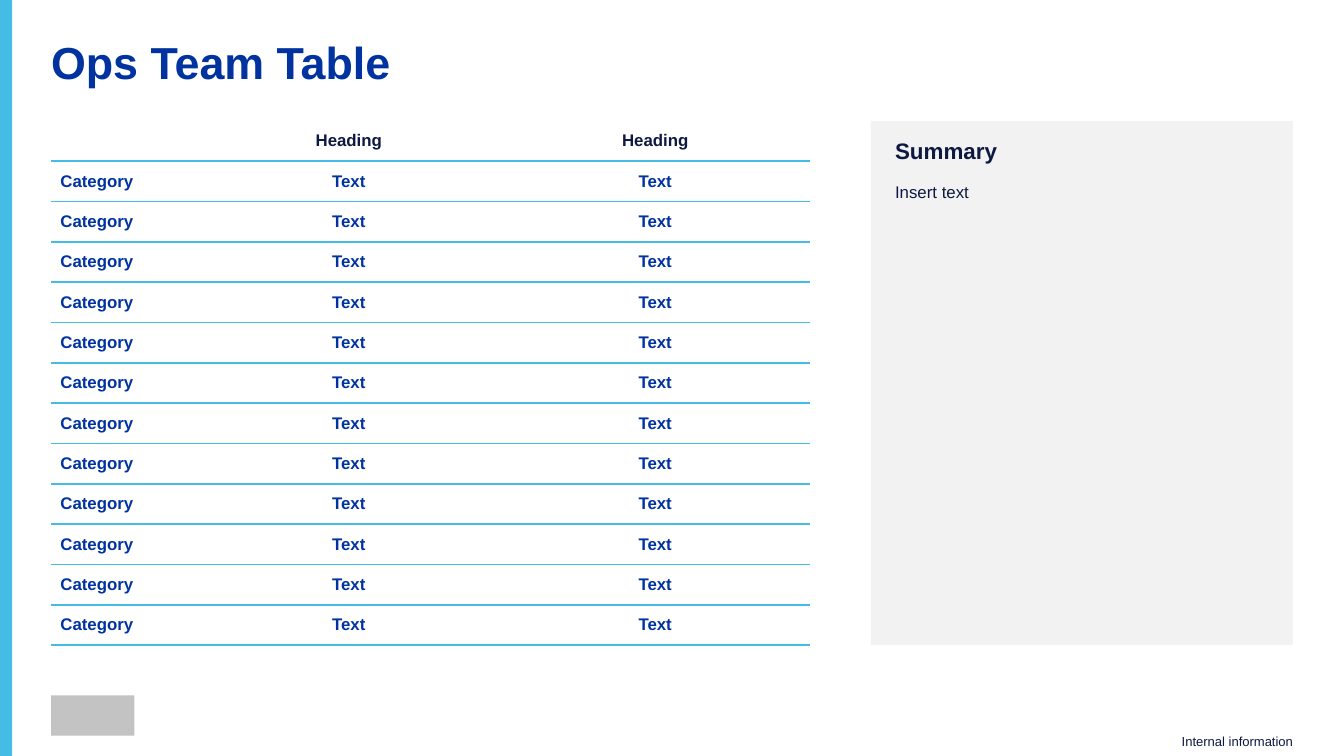
import pptx
import pptx.util
import pptx.dml.color
import pptx.enum.shapes
import pptx.enum.text
from dataclasses import dataclass
from lxml import etree

Inches, Pt = pptx.util.Inches, pptx.util.Pt
ALIGN = pptx.enum.text.PP_ALIGN
ANCHOR = pptx.enum.text.MSO_ANCHOR
A = "http://schemas.openxmlformats.org/drawingml/2006/main"


@dataclass(frozen=True)
class Theme:
    font: str = "Arial"
    blue: str = "0033A0"
    sky: str = "45BCE5"
    navy: str = "0E1941"
    panel: str = "F2F2F2"
    mark: str = "C3C3C3"
    title: int = 24
    heading: int = 12
    body: int = 9
    footer: int = 7
    rule: int = 1


THEME = Theme()


def rgb(value):
    return pptx.dml.color.RGBColor.from_string(value)


def style(p, size, color, bold=False, align=ALIGN.LEFT):
    p.alignment = align
    p.font.name, p.font.size, p.font.bold = THEME.font, Pt(size), bold
    p.font.color.rgb = rgb(color)


def add_block(s, box, color):
    """Add a plain filled rectangle without outline."""
    sp = s.shapes.add_shape(pptx.enum.shapes.MSO_SHAPE.RECTANGLE,
                            *map(Inches, box))
    sp.shadow.inherit = False
    sp.fill.solid()
    sp.fill.fore_color.rgb = rgb(color)
    sp.line.fill.background()


def add_text(s, box, text, size, color, bold=False, align=ALIGN.LEFT,
             anchor=ANCHOR.TOP, bottom=0, spacing=0.9):
    tf = s.shapes.add_textbox(*map(Inches, box)).text_frame
    tf.word_wrap = True
    tf.vertical_anchor = anchor
    tf.margin_left = tf.margin_right = tf.margin_top = 0
    tf.margin_bottom = Inches(bottom)
    p = tf.paragraphs[0]
    p.text = text
    p.line_spacing = spacing
    style(p, size, color, bold, align)


def set_borders(cell, ruled):
    """Rule the named sides ("T", "B") of a cell and clear the others."""
    tc_pr = cell._tc.get_or_add_tcPr()
    for i, side in enumerate("LRTB"):
        ln = etree.Element(f"{{{A}}}ln{side}")
        if side in ruled:
            ln.set("w", str(Pt(THEME.rule)))
            fill = etree.SubElement(ln, f"{{{A}}}solidFill")
            etree.SubElement(fill, f"{{{A}}}srgbClr", val=THEME.sky)
        else:
            etree.SubElement(ln, f"{{{A}}}noFill")
        tc_pr.insert(i, ln)


def add_team_table(s, box, widths, rows):
    left, top, width, height = box
    frame = s.shapes.add_table(len(rows), len(widths), Inches(left),
                               Inches(top), Inches(width), Inches(height))
    table = frame.table
    table.first_row = table.horz_banding = False
    for column, w in zip(table.columns, widths):
        column.width = Inches(w)
    for i, values in enumerate(rows):
        table.rows[i].height = Inches(height / len(rows))
        for j, value in enumerate(values):
            cell = table.cell(i, j)
            cell.fill.background()
            cell.vertical_anchor = ANCHOR.MIDDLE
            cell.margin_left = cell.margin_right = Inches(0.07)
            cell.margin_top = cell.margin_bottom = Inches(0.04)
            set_borders(cell, "TB" if i else "B")
            p = cell.text_frame.paragraphs[0]
            if value:
                p.text = value
            else:  # keeps the empty cell from stretching its row
                p._p.get_or_add_endParaRPr().set("sz", str(THEME.body * 100))
            style(p, THEME.body, THEME.blue if i else THEME.navy, True,
                  ALIGN.CENTER if j else ALIGN.LEFT)


def add_summary(s, box, heading, body):
    left, top, width, height = box
    inset = 0.18
    add_block(s, box, THEME.panel)
    add_text(s, (left + inset, top + 0.14, width - 2 * inset, 0.18),
             heading, THEME.heading, THEME.navy, bold=True)
    add_text(s, (left + inset, top + 0.47, width - 2 * inset, 0.14),
             body, THEME.body, THEME.navy)


def add_frame(s, box):
    """Add the side stripe, the logo placeholder and the footer."""
    left, top, width, height = box
    add_block(s, (left, top, 0.09, height), THEME.sky)
    add_block(s, (left + 0.38, top + height - 0.45, 0.62, 0.3), THEME.mark)
    add_text(s, (left + width - 1.28, top + height - 0.16, 0.9, 0.16),
             "Internal information", THEME.footer, THEME.navy,
             align=ALIGN.RIGHT, anchor=ANCHOR.BOTTOM, bottom=0.05, spacing=1)


def main():
    width = 10
    height = width * 9 / 16
    prs = pptx.Presentation()
    prs.slide_width, prs.slide_height = Inches(width), Inches(height)
    s = prs.slides.add_slide(prs.slide_layouts[6])
    add_frame(s, (0, 0, width, height))
    add_text(s, (0.38, 0.3, 9.25, 0.49), "Ops Team Table",
             THEME.title, THEME.blue, bold=True)
    add_summary(s, (6.48, 0.9, 3.14, 3.9), "Summary", "Insert text")
    rows = [("", "Heading", "Heading")] + [("Category", "Text", "Text")] * 12
    widths = (1.09, 2.25, 2.31)
    add_team_table(s, (0.38, 0.9, sum(widths), 3.9), widths, rows)
    prs.save("out.pptx")


if __name__ == "__main__":
    main()
